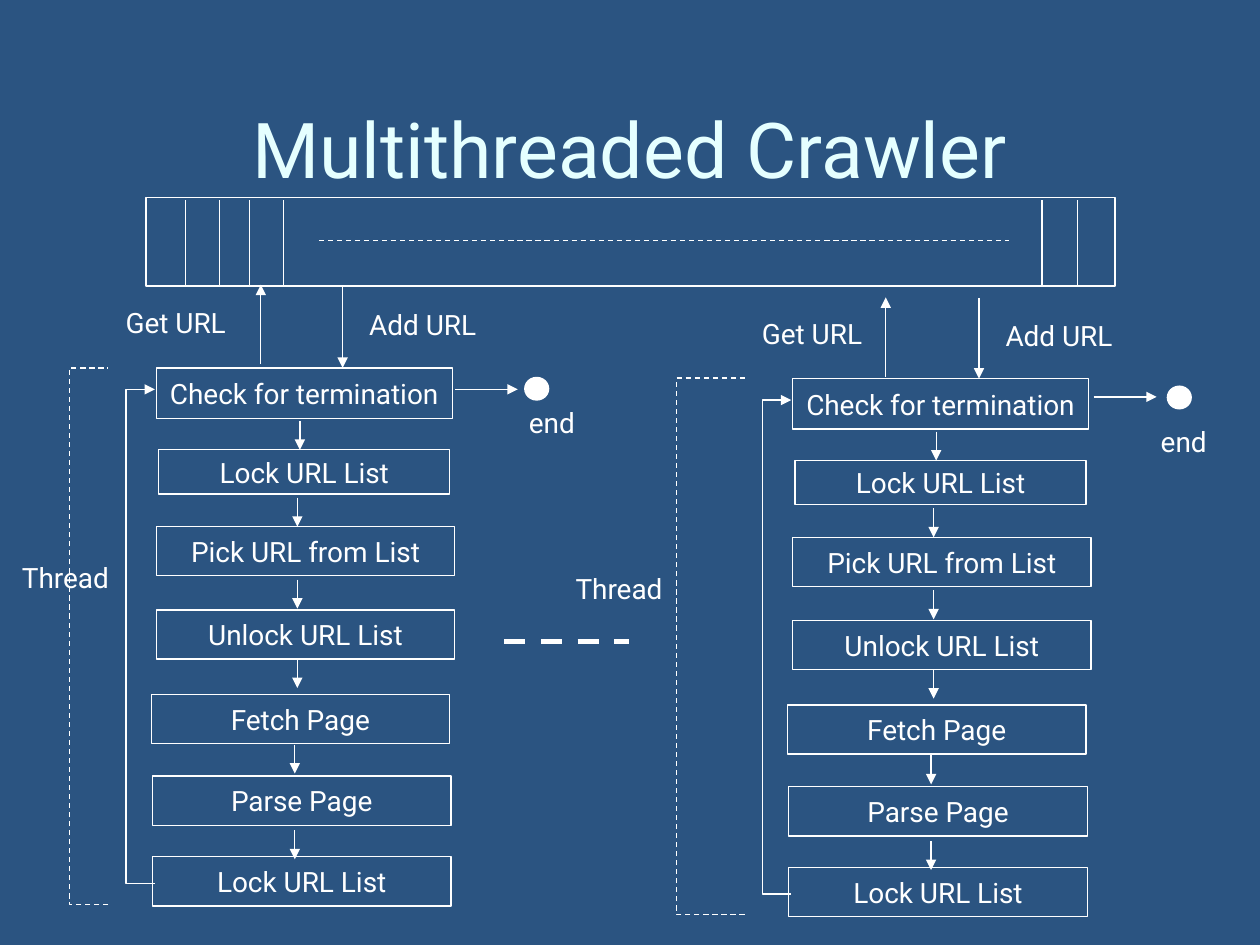
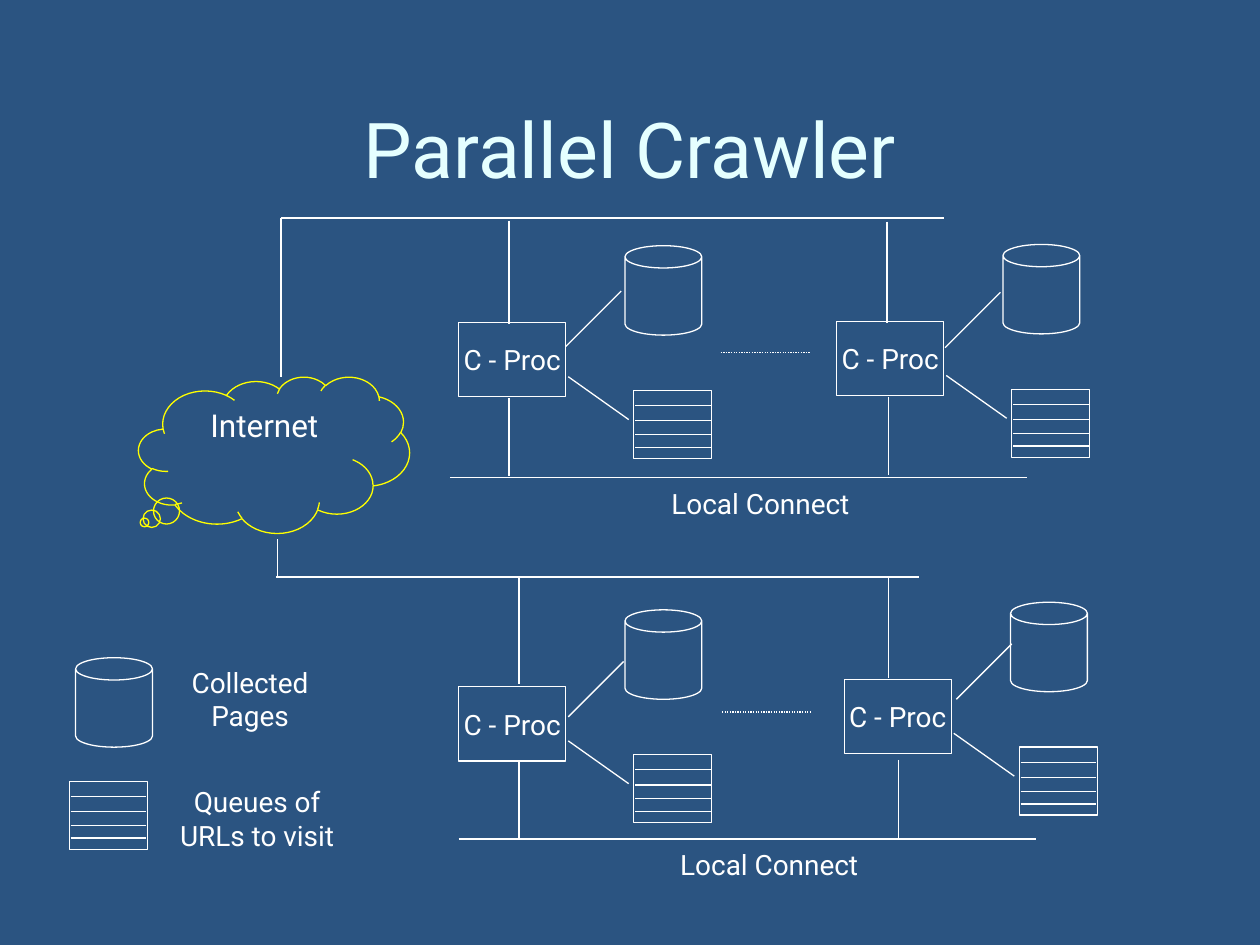
"""Two slides on web crawlers: a threaded one and a parallel one."""
from lxml import etree
from pptx import Presentation
from pptx import util as u
from pptx.dml.color import RGBColor
from pptx.enum import dml, shapes, text
from pptx.oxml.ns import qn

COLS, ROWS = 100, 75  # grid cells across and down a slide
HUES = {"back": "2B5481", "title": "E5FFFF", "ink": "FFFFFF", "cloud": "FFFF00"}
FACE = "Roboto"
KIND = shapes.MSO_SHAPE
DASH, DOTS = dml.MSO_LINE.DASH, dml.MSO_LINE.ROUND_DOT
LABEL = {"word_wrap": True, "auto_size": text.MSO_AUTO_SIZE.SHAPE_TO_FIT_TEXT}
INNER = {"word_wrap": False, "vertical_anchor": text.MSO_ANCHOR.MIDDLE}
OUTER = {"word_wrap": True, "vertical_anchor": text.MSO_ANCHOR.TOP}


def hue(name):
    """Look up a colour by its role."""
    return RGBColor.from_string(HUES[name])


def put(item, form):
    """Set each format value on an item."""
    for name, value in form.items():
        setattr(item, name, value)


class Deck:
    """Holds the style, the file and the current slide."""

    def __init__(self):
        """Start a file with the shared size and ground."""
        self.file = Presentation()
        self.file.slide_width, self.file.slide_height = u.Inches(10), u.Inches(7.5)
        fill = self.file.slide_master.background.fill
        fill.solid()
        fill.fore_color.rgb = hue("back")

    def spot(self, x, y):
        """Turn columns and rows into lengths."""
        return (int(self.file.slide_width * x / COLS),
                int(self.file.slide_height * y / ROWS))

    def page(self, title):
        """Add a slide with its title."""
        slide = self.file.slides.add_slide(self.file.slide_layouts[5])
        self.pool = slide.shapes
        head = slide.shapes.title
        head.left, head.top = self.spot(5, 4.2)
        head.width, head.height = self.spot(90, 15)
        self.words(head, title, INNER | {"word_wrap": True}, 44, "title")

    def words(self, item, words, form, size=16, tone="ink"):
        """Write centred text in an item."""
        frame = item.text_frame
        frame.text = words
        put(frame, form)
        part = frame.paragraphs[0]
        part.alignment = text.PP_ALIGN.CENTER
        put(part.runs[0].font, {"name": FACE, "size": u.Pt(size)})
        part.runs[0].font.color.rgb = hue(tone)

    def stroke(self, item, tone="ink", width=0.75, dash=None, arrow=False):
        """Style the line of a shape or connector."""
        line = item.line
        line.fill.solid()
        line.color.rgb = hue(tone)
        put(line, {"width": u.Pt(width), "dash_style": dash})
        if arrow:
            mark = item.element.spPr.find(qn("a:ln"))
            etree.SubElement(mark, qn("a:tailEnd"), type="triangle")

    def label(self, words, x, y, w, h=3.7):
        """Add loose text."""
        item = self.pool.add_textbox(*self.spot(x, y), *self.spot(w, h))
        self.words(item, words, LABEL)

    def shape(self, kind, x, y, w, h, words=None, tone="ink"):
        """Add a hollow preset shape."""
        item = self.pool.add_shape(kind, *self.spot(x, y), *self.spot(w, h))
        item.shadow.inherit = False
        item.fill.background()
        self.stroke(item, tone)
        if words:
            self.words(item, words, INNER)
        return item

    def dot(self, x, y):
        """Add a filled end point."""
        item = self.shape(KIND.OVAL, x, y, 2, 1.9)
        item.fill.solid()
        item.fill.fore_color.rgb = hue("ink")
        item.line.fill.background()

    def line(self, x, y, to_x, to_y, **form):
        """Add a straight line."""
        item = self.pool.add_connector(
            shapes.MSO_CONNECTOR.STRAIGHT, *self.spot(x, y), *self.spot(to_x, to_y))
        self.stroke(item, **form)
        etree.SubElement(item.element.spPr, qn("a:effectLst"))

    def hook(self, x, y, w, h, **form):
        """Add a bracket that opens right, drawn from its foot up."""
        pen = self.pool.build_freeform(*self.spot(x + w, y + h))
        pen.add_line_segments(
            [self.spot(*p) for p in ((x, y + h), (x, y), (x + w, y))], close=False)
        item = pen.convert_to_shape()
        item.shadow.inherit = False
        item.fill.background()
        self.stroke(item, **form)

    def can(self, x, y):
        """Add a page store."""
        self.shape(KIND.CAN, x, y, 6.1, 7.1).adjustments[0] = 0.29

    def queue(self, x, y):
        """Add a grouped list of URLs."""
        whole = self.pool
        self.pool = whole.add_group_shape().shapes
        self.shape(KIND.RECTANGLE, x, y, 6.2, 5.4)
        for drop in (1.2, 2.4, 3.5, 4.5):
            self.line(x + 0.1, y + drop, x + 6.1, y + drop)
        self.pool = whole

    def thread(self, x, y):
        """Add the steps of one thread, its loop and its labels."""
        steps = (("Check for termination", 12.4, 29.2, 23.5, 4),
                 ("Lock URL List", 12.6, 35.7, 23.1, 3.5),
                 ("Pick URL from List", 12.4, 41.8, 23.7, 3.9),
                 ("Unlock URL List", 12.4, 48.4, 23.7, 3.9),
                 ("Fetch Page", 12, 55.1, 23.7, 3.9),
                 ("Parse Page", 12.1, 61.6, 23.7, 3.9),
                 ("Lock URL List", 12.1, 68, 23.7, 3.9))
        for words, left, top, w, h in steps:
            self.shape(KIND.RECTANGLE, x + left, y + top, w, h, words)
        for mid, top in ((23.8, 33.4), (23.6, 39.5), (23.6, 46),
                         (23.6, 52.3), (23.4, 59.1), (23.4, 65.9)):
            self.line(x + mid, y + top, x + mid, y + top + 2.3, arrow=True)
        self.hook(x + 10, y + 30.9, 2.3, 39.2, arrow=True)
        self.line(x + 27.2, y + 22.8, x + 27.2, y + 29.2, arrow=True)
        self.label("Get URL", x + 6.8, y + 23.8, 14.3)
        self.label("Add URL", x + 27.6, y + 23.9, 11.9)
        self.label("Thread", x * 0.87, y + 44, 10.4)

    def node(self, x, y, rise_x, rise_y):
        """Add a crawl process, linked to its store and its queue."""
        self.shape(KIND.RECTANGLE, x, y, 8.5, 5.9, "C - Proc")
        self.can(x + 13.2, y - 6.1)
        self.queue(x + 13.9, y + 5.4)
        self.line(x + 8.7, y + 4.3, x + 13.5, y + 7.7)
        self.line(x + rise_x, y + rise_y, x + rise_x + 4.4, y + rise_y - 4.4)


def threads(deck):
    """Build the slide on threads."""
    deck.page("Multithreaded Crawler")
    deck.shape(KIND.RECTANGLE, 11.6, 15.7, 76.9, 7)
    for x in (14.7, 17.4, 19.8, 22.5, 82.7, 85.5):
        deck.line(x, 15.9, x, 22.7)
    deck.line(25.3, 19.1, 80.1, 19.1, dash=DASH)
    for x, y in ((0, 0), (50.5, 0.85)):
        deck.thread(x, y)
    deck.hook(5.5, 29.2, 3.1, 42.6, dash=DASH)
    deck.hook(53.7, 30, 5.4, 42.6, dash=DASH)
    for x, y in ((20.7, 28.9), (70.3, 29.9)):
        deck.line(x, y, x, y - 6.3, arrow=True)
    for x, y in ((36.1, 30.9), (86.8, 31.5)):
        deck.line(x, y, x + 5, y, arrow=True)
    deck.dot(41.6, 29.9)
    deck.dot(92.6, 30.6)
    deck.label("end", 38.6, 31.7, 10.4)
    deck.label("end", 90.1, 33.2, 7.7)
    deck.line(40, 50.9, 49.9, 50.9, width=3, dash=DASH)


def sites(deck):
    """Build the slide on linked sites."""
    deck.page("Parallel Crawler")
    for place in ((36.4, 25.6, 8.5, 1.9), (66.4, 25.5, 8.6, 2.1),
                  (36.4, 54.5, 8.7, 2.4), (67, 53.9, 8.9, 1.6)):
        deck.node(*place)
    for x, y in ((57.2, 28), (57.3, 56.5)):
        deck.line(x, y, x + 7.1, y, dash=DOTS)
    for x, y in ((35.7, 37.9), (36.4, 66.6)):
        deck.line(x, y, x + 45.8, y)
        deck.label("Local Connect", x + 15.7, y + 0.2, 17.9)
    for x, top, foot in ((40.4, 17.5, 25.7), (70.4, 17.6, 25.6),
                         (40.4, 31.6, 37.8), (70.5, 31.5, 37.7),
                         (41.2, 45.8, 54.3), (70.5, 45.9, 53.8),
                         (41.2, 60.4, 66.6), (71.3, 60.3, 66.5),
                         (22.3, 17.3, 29.9), (22, 42.8, 45.8)):
        deck.line(x, top, x, foot)
    deck.line(22.3, 17.3, 74.9, 17.3)
    deck.line(21.9, 45.8, 72.9, 45.8)
    cloud = deck.shape(KIND.CLOUD_CALLOUT, 11, 29.9, 21.5, 12.4, tone="cloud")
    cloud.adjustments[0], cloud.adjustments[1] = -0.478, 0.433
    deck.words(cloud, "Internet", OUTER, 18)
    deck.can(6, 52.2)
    deck.label("Collected Pages", 12.7, 52.3, 14.3, 6.4)
    deck.queue(5.5, 62)
    deck.label("Queues of URLs to visit", 13.3, 61.8, 14.2, 6.4)


deck = Deck()
threads(deck)
sites(deck)
deck.file.save("out.pptx")
